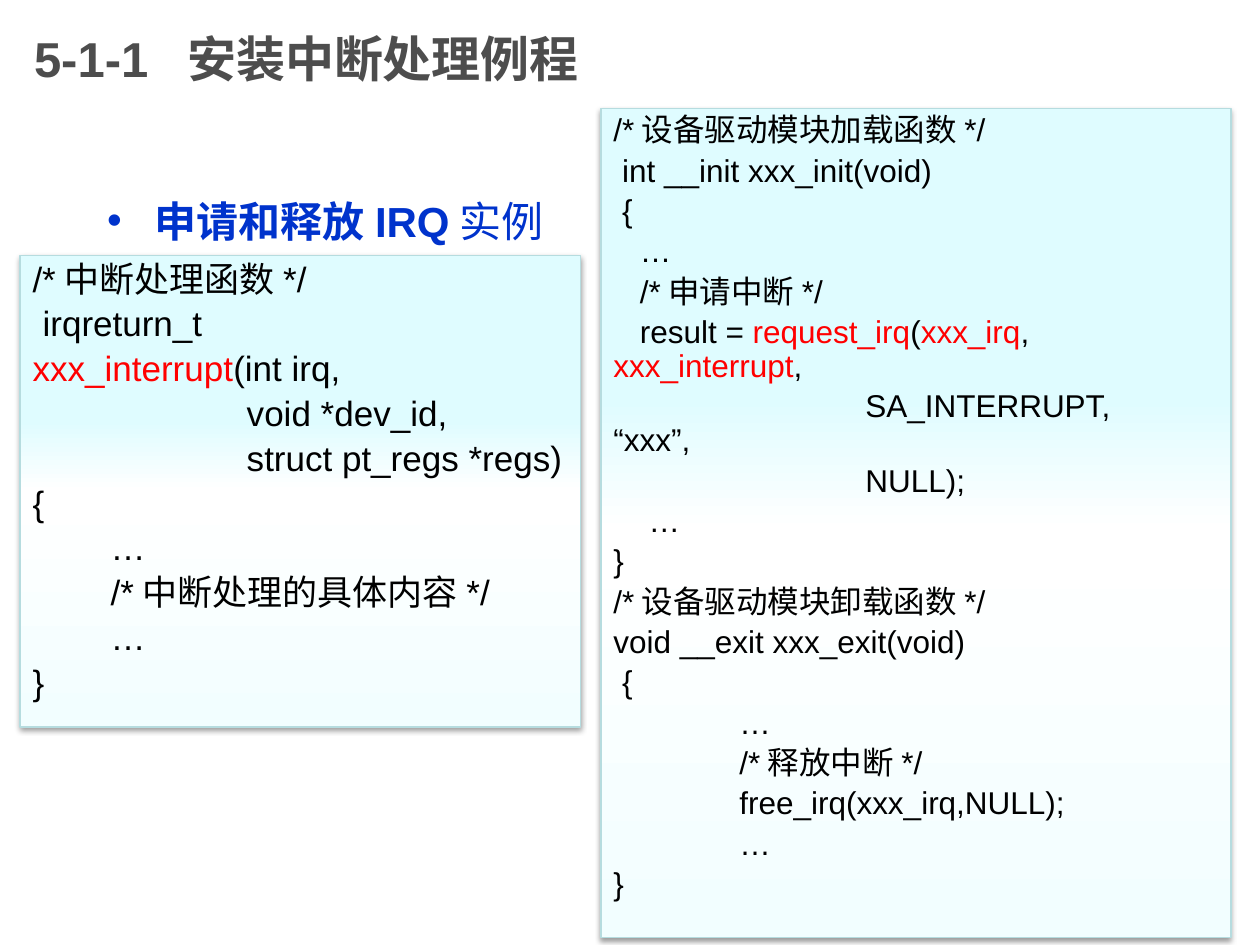
from pptx import Presentation
from pptx.dml.color import RGBColor
from pptx.enum.shapes import MSO_SHAPE as Shape
from pptx.enum.text import MSO_ANCHOR as Anchor, MSO_AUTO_SIZE as AutoSize, PP_ALIGN as Align
from pptx.oxml import parse_xml
from pptx.oxml.ns import nsdecls, qn
from pptx.util import Inches, Pt


def color(hex_code):
    return RGBColor.from_string(hex_code)


def style(font, size, hex_code, bold=False):
    font.name, font.size, font.bold = "Arial", Pt(size), bold
    font.color.rgb = color(hex_code)


deck = Presentation()
deck.slide_width, deck.slide_height = Inches(10), Inches(7.5)
page = deck.slides.add_slide(deck.slide_layouts[1])
title, body = page.placeholders

# Title
title.left, title.top, title.width, title.height = map(Inches, (0.17, 0, 7.5, 0.92))
title.text_frame.vertical_anchor = Anchor.MIDDLE
title.text_frame.auto_size = AutoSize.NONE
title.text_frame.text = "5-1-1  安装中断处理例程"
para = title.text_frame.paragraphs[0]
para.alignment = Align.LEFT
style(para.font, 28, "4D4D4D", bold=True)

# Bulleted subject line
body.left, body.top, body.width, body.height = map(Inches, (0.75, 1.5, 8.5, 0.53))
body.text_frame.auto_size = AutoSize.NONE
para = body.text_frame.paragraphs[0]
para.space_before = Pt(4.8)
properties = para._p.get_or_add_pPr()
properties.set("marL", str(Inches(0.38)))
properties.set("indent", str(Inches(-0.38)))
for text, bold in (("申请和释放IRQ", True), ("实例", False)):
    span = para.add_run()
    span.text = text
    style(span.font, 24, "0033CC", bold)

# Code lines: first-line indent in inches, then text; |bars| enclose red parts
handler_code = [
    (0, "/*中断处理函数*/"),
    (0.08, "irqreturn_t"),
    (0, "|xxx_interrupt|(int irq,"),
    (1.7, "void *dev_id,"),
    (1.7, "struct pt_regs *regs)"),
    (0, "{"),
    (0.62, "…"),
    (0.62, "/*中断处理的具体内容*/"),
    (0.62, "…"),
    (0, "}"),
]
module_code = [
    (0, "/*设备驱动模块加载函数*/"),
    (0.07, "int __init xxx_init(void)"),
    (0.07, "{"),
    (0.21, "…"),
    (0.21, "/*申请中断*/"),
    (0.21, "result = |request_irq|(|xxx_irq|,\n|xxx_interrupt|,"),
    (2, "SA_INTERRUPT,\n“xxx”,"),
    (2, "NULL);"),
    (0.28, "…"),
    (0, "}"),
    (0, "/*设备驱动模块卸载函数*/"),
    (0, "void __exit xxx_exit(void)"),
    (0.07, "{"),
    (1, "…"),
    (1, "/*释放中断*/"),
    (1, "free_irq(xxx_irq,NULL);"),
    (1, "…"),
    (0, "}"),
]

# Code boxes
for place, size, middle, code in (
    ((0.16, 2.03, 4.45, 3.74), 20, 50, handler_code),
    ((4.77, 0.86, 5, 6.58), 18, 51, module_code),
):
    box = page.shapes.add_shape(Shape.RECTANGLE, *map(Inches, place))
    box.line.color.rgb = color("B6DCDF")
    box.line.width = Pt(0.75)

    # Three-stop vertical gradient
    box.fill.gradient()
    box.fill.gradient_angle = 270
    stops = box._element.spPr.find(qn("a:gradFill")).find(qn("a:gsLst"))
    for stop in list(stops):
        stops.remove(stop)
    for position, hex_code in ((35, "DFFCFF"), (middle, "FFFFFF"), (100, "F2FEFF")):
        stops.append(parse_xml(
            f'<a:gs {nsdecls("a")} pos="{position * 1000}"><a:srgbClr val="{hex_code}"/></a:gs>'))

    # Soft shadow below
    box.shadow.inherit = False
    box._element.spPr.find(qn("a:effectLst")).append(parse_xml(
        f'<a:outerShdw {nsdecls("a")} blurRad="{Pt(3.1)}" dist="{Pt(1.6)}" dir="5400000" '
        'rotWithShape="0"><a:srgbClr val="000000"><a:alpha val="38000"/></a:srgbClr></a:outerShdw>'))

    frame = box.text_frame
    frame.word_wrap = True
    frame.auto_size = AutoSize.SHAPE_TO_FIT_TEXT
    frame.vertical_anchor = Anchor.TOP
    for number, (indent, line) in enumerate(code):
        para = frame.add_paragraph() if number else frame.paragraphs[0]
        para.alignment = Align.LEFT
        para.line_spacing = 0.9
        para.space_before = Pt(size * 0.2)
        para._p.get_or_add_pPr().set("indent", str(Inches(indent)))
        style(para.font, size, "000000")
        for part, text in enumerate(line.split("|")):
            for row, piece in enumerate(text.split("\n")):
                if row:
                    para.add_line_break()
                if piece:
                    span = para.add_run()
                    span.text = piece
                    if part % 2:
                        span.font.color.rgb = color("FF0000")

deck.save("out.pptx")
